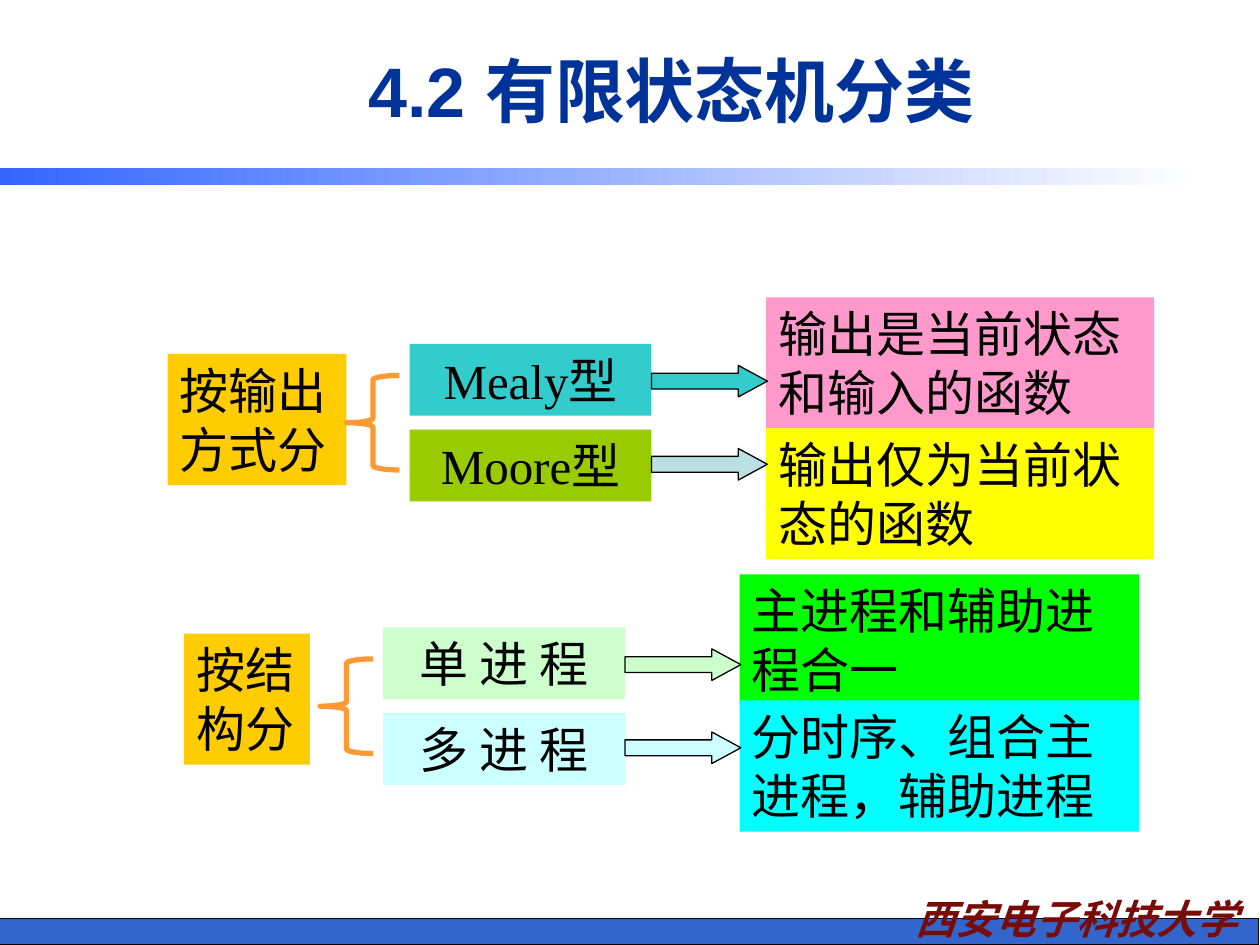
import pptx
import pptx.util
import pptx.dml.color
import pptx.enum.shapes
import pptx.enum.text
import pptx.oxml
import pptx.oxml.ns

Inches = pptx.util.Inches
SHAPE = pptx.enum.shapes.MSO_SHAPE
ALIGN = pptx.enum.text.PP_ALIGN
ANCHOR = pptx.enum.text.MSO_ANCHOR
HAN = "Noto Sans CJK SC"


def color(code):
    return pptx.dml.color.RGBColor.from_string(code)


def write(shape, text, size=28, font="Times New Roman", ink="000000",
          align=ALIGN.LEFT, anchor=ANCHOR.TOP, bold=False, italic=False):
    frame = shape.text_frame
    frame.word_wrap = True
    frame.vertical_anchor = anchor
    frame.text = text
    para = frame.paragraphs[0]
    para.alignment = align
    face = para.runs[0].font
    face.size = pptx.util.Pt(size)
    face.name = font
    face.bold, face.italic = bold, italic
    face.color.rgb = color(ink)
    # East Asian glyphs take their own typeface
    han = pptx.oxml.parse_xml(
        f'<a:ea {pptx.oxml.ns.nsdecls("a")} typeface="{HAN}"/>')
    face._element.find(pptx.oxml.ns.qn("a:latin")).addnext(han)


def draw(slide, kind, box, fill=None, line=None, width=0.75):
    shape = slide.shapes.add_shape(kind, *map(Inches, box))
    shape.shadow.inherit = False
    if fill:
        shape.fill.solid()
        shape.fill.fore_color.rgb = color(fill)
    else:
        shape.fill.background()
    if line:
        shape.line.color.rgb = color(line)
        shape.line.width = pptx.util.Pt(width)
    else:
        shape.line.fill.background()
    return shape


def header(slide, text):
    title = slide.shapes.title
    title.left, title.top = Inches(1.33), Inches(0.17)
    title.width, title.height = Inches(8), Inches(1.08)
    write(title, text, 40, "Arial", "003399", ALIGN.CENTER, ANCHOR.MIDDLE, True)
    rule = draw(slide, SHAPE.RECTANGLE, (0, 1.33, 9.51, 0.14))
    rule.fill.gradient()
    rule.fill.gradient_angle = 0
    for stop, code in zip(rule.fill.gradient_stops, ("3366FF", "FFFFFF")):
        stop.color.rgb = color(code)


def footer(slide, text):
    draw(slide, SHAPE.RECTANGLE, (-0.01, 7.29, 10, 0.21), "3366CC", "000000")
    name = slide.shapes.add_textbox(*map(Inches, (6.97, 7.05, 3.15, 0.49)))
    write(name, text, 23, HAN, "790C09", ALIGN.CENTER, bold=True, italic=True)


def branch(slide, left, top, label, box, rows, wide):
    """Place a label, a brace and its rows; box is the label's offset and width.

    Each row holds type, type fill, arrow fill, note, note fill, note offset.
    """
    dx, dy, width = box
    root = draw(slide, SHAPE.RECTANGLE,
                (left + dx, top + dy, width, 1.04), "FFCC00")
    write(root, label)
    draw(slide, SHAPE.LEFT_BRACE, (left, top + 0.25, 0.42, 0.75),
         line="FF9933", width=3)
    for i, (kind, fill, tint, note, back, drop) in enumerate(rows):
        cell = draw(slide, SHAPE.RECTANGLE,
                    (left + 0.5, top + 0.68 * i, 1.92, 0.57), fill)
        write(cell, kind, align=ALIGN.CENTER)
        text = draw(slide, SHAPE.RECTANGLE,
                    (left + 3.33, top + drop, wide, 1.04), back)
        write(text, note)
        arrow = draw(slide, SHAPE.RIGHT_ARROW,
                     (left + 2.42, top + 0.17 + 0.66 * i, 0.92, 0.25),
                     tint, "000000")
        arrow.adjustments[1] = 0.92


def main():
    deck = pptx.Presentation()
    deck.slide_width, deck.slide_height = Inches(10), Inches(7.5)
    slide = deck.slides.add_slide(deck.slide_layouts[5])
    footer(slide, "西安电子科技大学")
    header(slide, "4.2 有限状态机分类")
    branch(slide, 2.75, 2.73, "按输出方式分", (-1.42, 0.08, 1.42), [
        ("Mealy型", "33CCCC", "33CCCC",
         "输出是当前状态和输入的函数", "FF99CC", -0.37),
        ("Moore型", "99CC00", "BBE0E3",
         "输出仅为当前状态的函数", "FFFF00", 0.67),
    ], 3.08)
    branch(slide, 2.54, 4.98, "按结构分", (-1.08, 0.05, 1), [
        ("单 进 程", "CCFFCC", "CCFFCC",
         "主进程和辅助进程合一", "00FF00", -0.42),
        ("多 进 程", "CCFFFF", "CCFFFF",
         "分时序、组合主进程，辅助进程", "00FFFF", 0.58),
    ], 3.17)
    deck.save("out.pptx")


if __name__ == "__main__":
    main()
